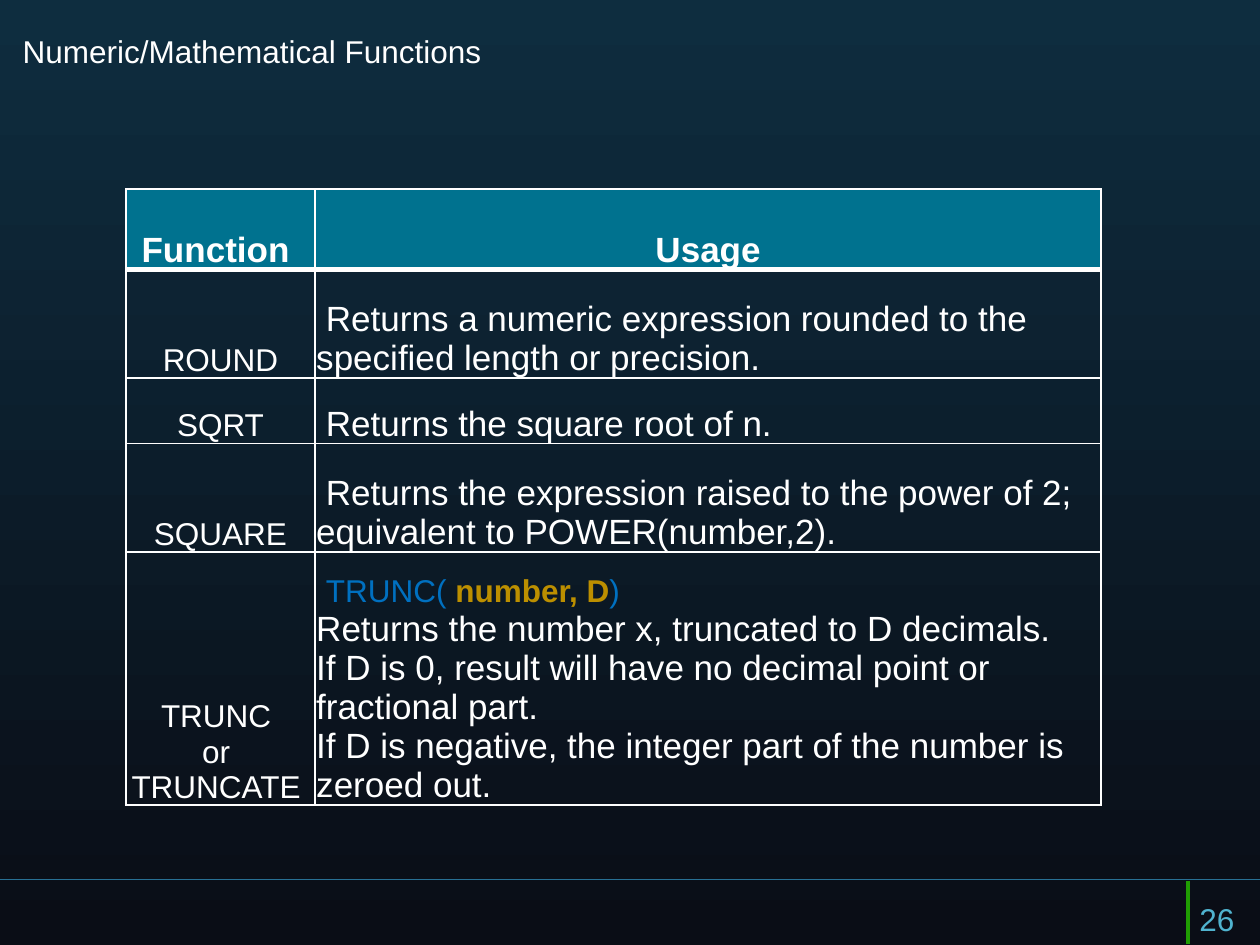
from dataclasses import dataclass

from lxml import etree
from pptx import Presentation
from pptx.dml.color import RGBColor
from pptx.enum.text import MSO_ANCHOR, PP_ALIGN
from pptx.oxml.ns import qn
from pptx.util import Inches, Pt


@dataclass(frozen=True)
class Theme:
    font: str = "Arial"
    small: int = 18
    large: int = 20
    white: str = "FFFFFF"
    top: str = "0E2D3F"
    bottom: str = "0A0D16"
    header: str = "00728F"
    rule: str = "287094"
    bar: str = "209D03"
    number: str = "50B3CF"
    syntax: str = "0070C0"
    argument: str = "BC8F00"


theme = Theme()


def style(font, size, color=theme.white, bold=False):
    font.name = theme.font
    font.size = Pt(size)
    font.bold = bold
    font.color.rgb = RGBColor.from_string(color)


def add_border(cell, side, width):
    line = etree.SubElement(cell._tc.get_or_add_tcPr(), qn(f"a:{side}"), w=str(Pt(width)))
    fill = etree.SubElement(line, qn("a:solidFill"))
    etree.SubElement(fill, qn("a:srgbClr"), val=theme.white)


prs = Presentation()
prs.slide_width, prs.slide_height = Inches(10), Inches(7.5)
slide = prs.slides.add_slide(prs.slide_layouts[5])

# Background, dark blue fading downwards
background = slide.background.fill
background.gradient()
background.gradient_angle = 270
for stop, color, position in zip(background.gradient_stops, (theme.top, theme.bottom), (0, 1)):
    stop.color.rgb = RGBColor.from_string(color)
    stop.position = position

# Footer rule and bar
for x1, y1, x2, y2, color, width in (
    (10, 6.98, 0, 6.98, theme.rule, 0.75),
    (9.43, 6.99, 9.43, 7.49, theme.bar, 2),
):
    rule = slide.shapes.add_connector(1, Inches(x1), Inches(y1), Inches(x2), Inches(y2))
    rule.line.color.rgb = RGBColor.from_string(color)
    rule.line.width = Pt(width)
    etree.SubElement(rule._element.spPr, qn("a:effectLst"))

# Title
title = slide.shapes.title
title.left, title.top, title.width, title.height = (Inches(v) for v in (0.08, 0.2, 7.5, 0.58))
title.text_frame.text = "Numeric/Mathematical Functions"
title.text_frame.vertical_anchor = MSO_ANCHOR.TOP
heading = title.text_frame.paragraphs[0]
heading.alignment = PP_ALIGN.LEFT
style(heading.font, theme.small)

# Page number
page_number = slide.shapes.add_textbox(Inches(9.42), Inches(7.08), Inches(0.58), Inches(0.42))
page_number.text_frame.word_wrap = True
page_number.text_frame.vertical_anchor = MSO_ANCHOR.MIDDLE
page_number.text_frame.text = "26"
style(page_number.text_frame.paragraphs[0].font, theme.small, theme.number)

# Function table: row height, function, usage
functions = (
    (0.64, "Function ", "Usage"),
    (0.86, "ROUND", " Returns a numeric expression rounded to the specified length or precision."),
    (0.52, "SQRT", " Returns the square root of n."),
    (0.86, "SQUARE", " Returns the expression raised to the power of 2; equivalent to POWER(number,2)."),
    (1.54, "TRUNC \nor \nTRUNCATE ",
     "\nReturns the number x, truncated to D decimals."
     "\nIf D is 0, result will have no decimal point or fractional part."
     "\nIf D is negative, the integer part of the number is zeroed out."),
)
table = slide.shapes.add_table(
    len(functions), 2, Inches(1), Inches(1.5), Inches(7.74), Inches(4.42)).table
table.horz_banding = False
table.columns[0].width, table.columns[1].width = Inches(1.5), Inches(6.24)

for row, (height, *texts) in enumerate(functions):
    table.rows[row].height = Inches(height)
    is_header = row == 0
    for column, text in enumerate(texts):
        cell = table.cell(row, column)
        cell.text = text
        cell.vertical_anchor = MSO_ANCHOR.BOTTOM
        cell.margin_left = cell.margin_right = cell.margin_top = Inches(0.01)
        cell.margin_bottom = 0
        is_name = column == 0 and not is_header
        for paragraph in cell.text_frame.paragraphs:
            paragraph.alignment = PP_ALIGN.CENTER if is_header or is_name else PP_ALIGN.LEFT
            style(paragraph.font, theme.small if is_name else theme.large, bold=is_header)
        # Borders come before the fill in the cell properties
        for side in ("lnL", "lnR", "lnT", "lnB"):
            heavy = (is_header and side == "lnB") or (row == 1 and side == "lnT")
            add_border(cell, side, 3 if heavy else 1)
        if is_header:
            cell.fill.solid()
            cell.fill.fore_color.rgb = RGBColor.from_string(theme.header)
        else:
            cell.fill.background()

# Coloured syntax line of TRUNC
syntax = table.cell(4, 1).text_frame.paragraphs[0]
for text, size, color, bold in (
    (" ", theme.large, theme.white, False),
    ("TRUNC( ", theme.small, theme.syntax, False),
    ("number, D", theme.small, theme.argument, True),
    (")", theme.small, theme.syntax, False),
):
    run = syntax.add_run()
    run.text = text
    style(run.font, size, color, bold)

prs.save("out.pptx")
